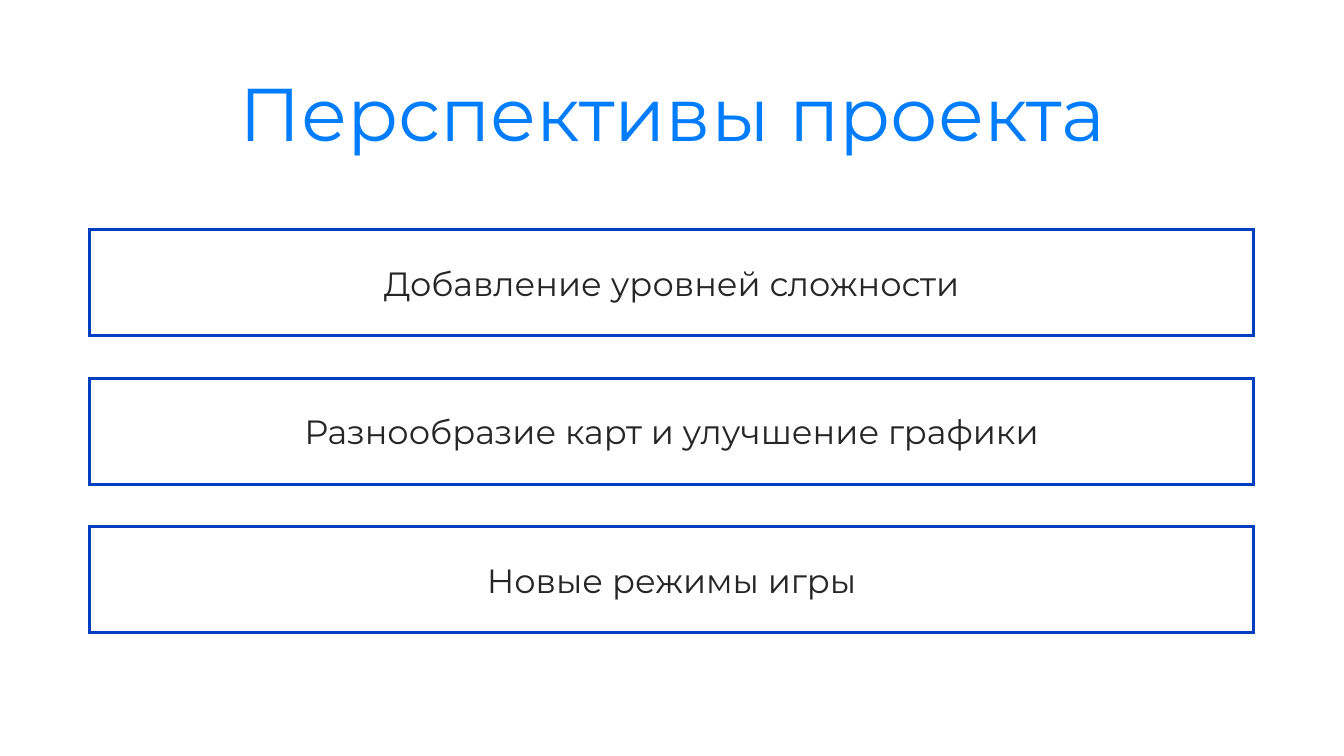
from lxml.etree import SubElement
from pptx import Presentation
from pptx.dml.color import RGBColor
from pptx.enum.shapes import MSO_SHAPE as Shape
from pptx.enum.text import MSO_ANCHOR as Anchor, MSO_AUTO_SIZE as AutoSize, PP_ALIGN as Align
from pptx.oxml.ns import qn
from pptx.util import Inches, Pt

SKY = RGBColor(0x00, 0x7D, 0xFF)
BLUE = RGBColor(0x00, 0x40, 0xC0)
INK = RGBColor(0x26, 0x26, 0x26)

PROSPECTS = [
    "Добавление уровней сложности",
    "Разнообразие карт и улучшение графики",
    "Новые режимы игры",
]


def write(box, text, size, color, font="Montserrat", anchor=Anchor.MIDDLE, align=Align.CENTER):
    """Put one formatted line of text into a box."""
    frame = box.text_frame
    frame.word_wrap = True
    frame.auto_size = AutoSize.NONE
    frame.vertical_anchor = anchor
    para = frame.paragraphs[0]
    para.alignment = align
    para.line_spacing = 1.0
    para.space_before = Pt(0)
    span = para.add_run()
    span.text = text
    span.font.name = font
    span.font.size = Pt(size)
    span.font.color.rgb = color


class Page:
    """A slide laid out on a grid of 100 columns and 100 rows."""

    def __init__(self, deck):
        self.column = deck.slide_width / 100
        self.row = deck.slide_height / 100
        self.slide = deck.slides.add_slide(deck.slide_layouts[5])

    def area(self, left, top, width, height):
        return (round(left * self.column), round(top * self.row),
                round(width * self.column), round(height * self.row))

    def title(self, text, *place):
        box = self.slide.shapes.title
        box.left, box.top, box.width, box.height = self.area(*place)
        write(box, text, size=40, color=SKY, anchor=Anchor.TOP)

    def frame(self, text, *place):
        box = self.slide.shapes.add_shape(Shape.RECTANGLE, *self.area(*place))
        box.shadow.inherit = False
        box.fill.background()
        box.line.color.rgb = BLUE
        box.line.width = Pt(1.5)
        # Square corners
        SubElement(box.line._get_or_add_ln(), qn("a:miter"), lim="800000")
        write(box, text, size=18, color=INK)


def main():
    # Widescreen page, 16 to 9
    deck = Presentation()
    deck.slide_width = Inches(10)
    deck.slide_height = deck.slide_width * 9 // 16
    page = Page(deck)

    # Heading
    page.title("Перспективы проекта", 2.8, 8, 94.5, 13.7)

    # Framed prospects, evenly spaced
    top, pitch = 30.4, 19.63
    for index, prospect in enumerate(PROSPECTS):
        page.frame(prospect, 6.65, top + index * pitch, 86.65, 14.04)

    deck.save("out.pptx")


if __name__ == "__main__":
    main()
